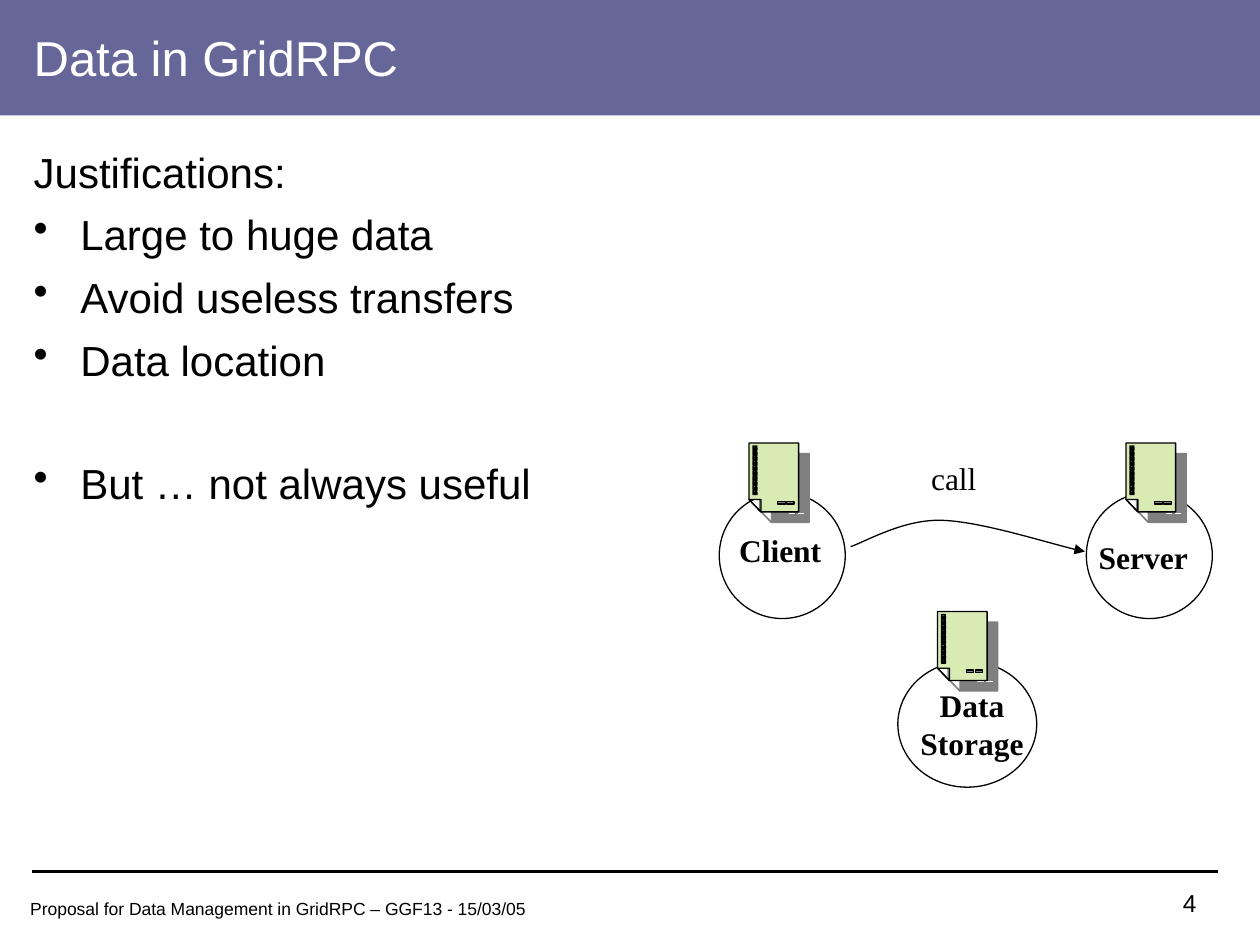
from dataclasses import dataclass

from lxml.etree import SubElement
from pptx import Presentation
from pptx.dml.color import RGBColor
from pptx.enum.shapes import MSO_CONNECTOR as CONN, MSO_SHAPE as SHAPE
from pptx.enum.text import MSO_ANCHOR as ANCHOR, PP_ALIGN as ALIGN
from pptx.oxml.ns import qn
from pptx.util import Cm, Pt


@dataclass(frozen=True)
class Theme:
    sans: str = "Arial"
    serif: str = "Times New Roman"
    black: RGBColor = RGBColor(0, 0, 0)
    white: RGBColor = RGBColor(255, 255, 255)
    banner: RGBColor = RGBColor.from_string("666699")
    page: RGBColor = RGBColor.from_string("D8EBB3")
    page_shadow: str = "808080"
    title: float = 28
    body: float = 24
    label: float = 18
    number: float = 14
    footer: float = 10
    thin: float = 0.75
    rule: float = 1.25


T = Theme()


def add_text(s, box, lines, size, font=T.sans, color=T.black, bold=False,
             align=ALIGN.LEFT, anchor=ANCHOR.TOP, wrap=True):
    tf = s.shapes.add_textbox(*map(Cm, box)).text_frame
    tf.word_wrap = wrap
    tf.vertical_anchor = anchor
    for i, line in enumerate(lines):
        p = tf.paragraphs[0] if i == 0 else tf.add_paragraph()
        p.text = line
        p.alignment = align
        p.font.name, p.font.size, p.font.bold = font, Pt(size), bold
        p.font.color.rgb = color
    return tf


def outline(sp, fill=None):
    """Give a shape a thin black line, and a fill or none."""
    sp.shadow.inherit = False
    if fill is None:
        sp.fill.background()
    else:
        sp.fill.solid()
        sp.fill.fore_color.rgb = fill
    sp.line.color.rgb = T.black
    sp.line.width = Pt(T.thin)


def header(s, x, y, w, h, title):
    sp = s.shapes.add_shape(SHAPE.RECTANGLE, *map(Cm, (x, y, w, h)))
    sp.shadow.inherit = False
    sp.fill.solid()
    sp.fill.fore_color.rgb = T.banner
    sp.line.fill.background()
    add_text(s, (x + 0.43, y + 0.38, 21.6, 1.55), [title], T.title,
             color=T.white, anchor=ANCHOR.MIDDLE)


def body(s, x, y, w, h, heading, bullets, closing):
    """Heading and bullets, with the closing bullet set apart."""
    tf = add_text(s, (x, y, w, h), [heading, *bullets, closing], T.body)
    for p in tf.paragraphs[1:]:
        p.space_before = Pt(7)
        pPr = p._p.get_or_add_pPr()
        pPr.set("marL", str(Cm(0.94)))
        pPr.set("indent", str(-Cm(0.94)))
        bullet = pPr.makeelement(qn("a:buChar"), {"char": "•"})
        pPr.insert_element_before(bullet, "a:tabLst", "a:defRPr", "a:extLst")
    tf.paragraphs[-1].space_before = Pt(41.7)


def footer(s, x, y, w, text, number):
    line = s.shapes.add_connector(CONN.STRAIGHT, Cm(x), Cm(y), Cm(x + w), Cm(y))
    line.line.color.rgb = T.black
    line.line.width = Pt(T.rule)
    SubElement(line._element.spPr, qn("a:effectLst"))
    add_text(s, (x - 0.44, y + 0.41, 10.8, 1.07), [text], T.footer,
             align=ALIGN.CENTER)
    add_text(s, (x + w - 1.89, y + 0.21, 1.7, 0.84), [number], T.number,
             align=ALIGN.RIGHT)


def rectangle(x, y, w, h):
    return [(x, y), (x + w, y), (x + w, y + h), (x, y + h)]


def document(s, x, y):
    """Page with a folded corner, binding marks and a shadow."""
    mark = [(0, 0), (0.08, 0), (0.03, 0.05), (0.02, 0.03), (0, 0.04),
            (0.03, 0.07), (0.08, 0.03), (0.08, 0.08), (0, 0.08)]
    contours = [
        [(0, 0), (1, 0), (1, 1.39), (0.24, 1.39), (0, 1.14)],
        [(0, 1.14), (0.24, 1.14), (0.24, 1.39)],
        *(rectangle(left, 1.18, 0.15, 0.05) for left in (0.58, 0.76)),
        *([(0.08 + dx, 0.06 + 0.1 * i + dy) for dx, dy in mark]
          for i in range(10)),
    ]
    fb = None
    for contour in contours:
        start, *rest = [(Cm(x + px), Cm(y + py)) for px, py in contour]
        if fb is None:
            fb = s.shapes.build_freeform(*start)
        else:
            fb.move_to(*start)
        fb.add_line_segments(rest, close=True)
    sp = fb.convert_to_shape()
    outline(sp, T.page)
    effects = sp._element.spPr.find(qn("a:effectLst"))
    shadow = SubElement(effects, qn("a:outerShdw"), blurRad="0",
                        dist=str(Pt(8.5)), dir=str(45 * 60000),
                        algn="tl", rotWithShape="0")
    SubElement(shadow, qn("a:srgbClr"), val=T.page_shadow)


def node(s, x, y, w, h, lines, label, page_x):
    """Circle with a label and a document; label is (dx, dy, w, h)."""
    outline(s.shapes.add_shape(SHAPE.OVAL, *map(Cm, (x, y, w, h))))
    document(s, x + page_x, y - 1)
    dx, dy, *size = label
    add_text(s, (x + dx, y + dy, *size), lines, T.label, T.serif, bold=True,
             align=ALIGN.CENTER if len(lines) > 1 else ALIGN.LEFT, wrap=False)


def call_arrow(s, x, y):
    """Curve with an arrowhead, from two Bézier segments, and its caption."""
    curve = [(0.3, -0.1), (1.07, -0.56), (1.85, -0.53),
             (2.64, -0.5), (4.13, -0.02), (4.72, 0.1)]
    fb = s.shapes.build_freeform(Cm(x), Cm(y))
    fb.add_line_segments([(Cm(x + dx), Cm(y + dy)) for dx, dy in curve],
                         close=False)
    sp = fb.convert_to_shape()
    outline(sp)
    route = sp._element.spPr.find(".//" + qn("a:path"))
    steps = route.findall(qn("a:lnTo"))
    for i in range(0, len(steps), 3):
        bezier = SubElement(route, qn("a:cubicBezTo"))
        for step in steps[i:i + 3]:
            bezier.append(step[0])
            route.remove(step)
    SubElement(sp.line._get_or_add_ln(), qn("a:tailEnd"), type="triangle")
    add_text(s, (x + 1.37, y - 1.9, 1.42, 1.02), ["call"], T.label, T.serif,
             wrap=False)


def diagram(s, x, y):
    node(s, x, y, 2.54, 2.54, ["Client"], (0.15, 0.66, 2.16, 1.02), 0.6)
    node(s, x + 7.4, y, 2.54, 2.54, ["Server"], (0, 0.79, 2.31, 1.02), 0.8)
    node(s, x + 3.6, y + 3.4, 2.8, 2.54, ["Data", "Storage"],
         (0.2, 0.38, 2.59, 1.78), 0.8)
    call_arrow(s, x + 2.65, y + 1.09)


def main():
    prs = Presentation()
    prs.slide_width, prs.slide_height = Cm(25.4), Cm(19.05)
    s = prs.slides.add_slide(prs.slide_layouts[6])
    header(s, 0, 0, 25.4, 2.33, "Data in GridRPC")
    body(s, 0.43, 2.82, 12.47, 7.77, "Justifications:",
         ["Large to huge data", "Avoid useless transfers", "Data location"],
         "But … not always useful")
    diagram(s, 14.5, 9.93)
    footer(s, 0.64, 17.57, 23.92,
           "Proposal for Data Management in GridRPC – GGF13 - 15/03/05", "4")
    prs.save("out.pptx")


if __name__ == "__main__":
    main()
